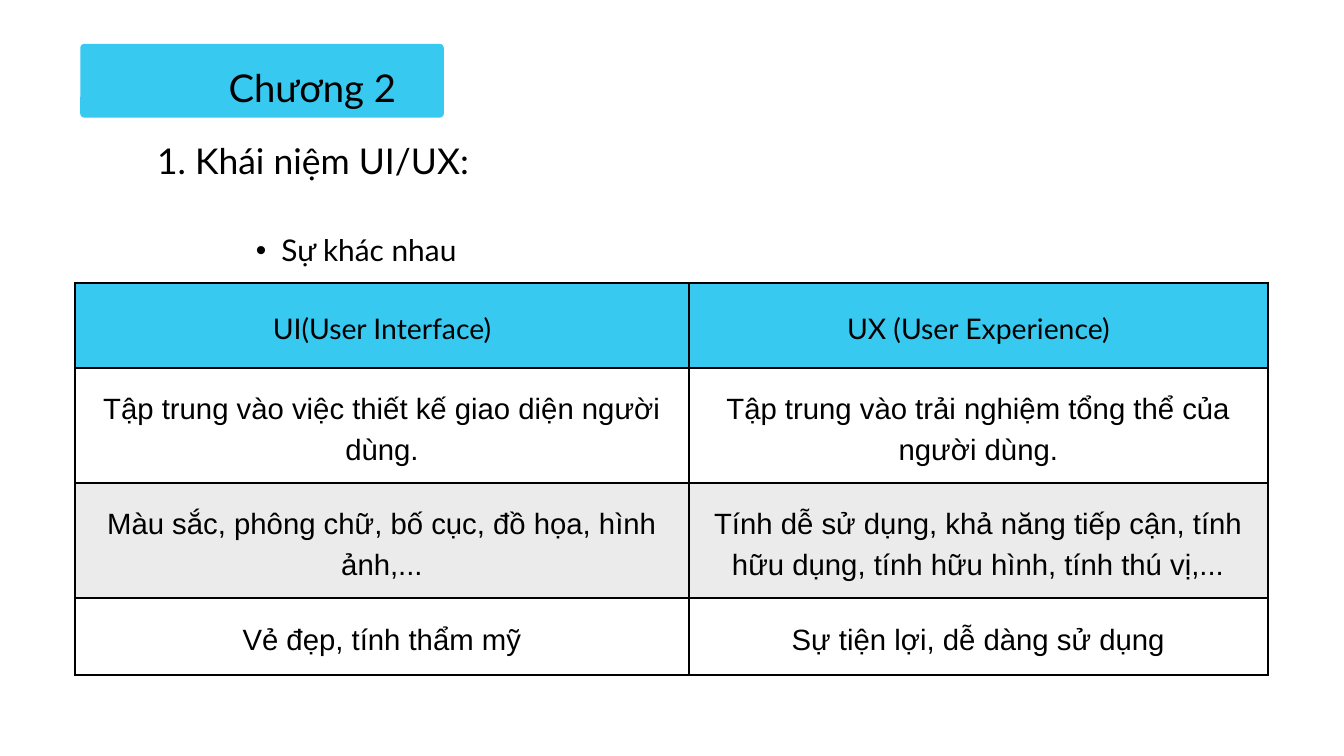
from pptx import Presentation
from pptx.dml.color import RGBColor
from pptx.enum import shapes, text
from pptx.oxml import parse_xml
from pptx.oxml.ns import nsdecls
from pptx.util import Pt

BLACK = RGBColor(0x00, 0x00, 0x00)
CYAN = RGBColor(0x37, 0xC9, 0xEF)
GREY = RGBColor(0xEB, 0xEB, 0xEB)

# Text, box (left, top, width, height), font size, line spacing
TITLE = ("Chương 2", (149, 60.5, 371.5, 61), 41, 57.4)
HEADING = ("1. Khái niệm UI/UX:", (149, 141, 373, 51), 38, 53.2)
BULLET = ("Sự khác nhau", (200, 242, 336, 45.5), 32, 44.8)

BANNER = (86, 47, 389.5, 79)
BANNER_RADIUS = 4.3

ROWS = [
    ("UI(User Interface)", "UX (User Experience)"),
    ("Tập trung vào việc thiết kế giao diện người dùng.",
     "Tập trung vào trải nghiệm tổng thể của người dùng."),
    ("Màu sắc, phông chữ, bố cục, đồ họa, hình ảnh,...",
     "Tính dễ sử dụng, khả năng tiếp cận, tính hữu dụng, tính hữu hình, tính thú vị,..."),
    ("Vẻ đẹp, tính thẩm mỹ", "Sự tiện lợi, dễ dàng sử dụng"),
]
ROW_FILLS = [CYAN, None, GREY, None]
ROW_HEIGHTS = [91.5, 123, 123, 82.8]
COL_WIDTHS = [657.4, 620.6]
TABLE_AT = (80.6, 303)
CELL_MARGIN = 15
BORDER = 3


def points(values):
    return [Pt(v) for v in values]


def set_margins(target, margin):
    target.margin_left = target.margin_right = Pt(margin)
    target.margin_top = target.margin_bottom = Pt(margin)


def write(p, words, font, size, spacing):
    p.alignment = text.PP_ALIGN.CENTER
    p.line_spacing = Pt(spacing)
    p.space_before = Pt(0)
    r = p.add_run()
    r.text = words
    r.font.name = font
    r.font.size = Pt(size)
    r.font.color.rgb = BLACK


def fill_box(sp, content):
    """Place a text shape, write its line and return the paragraph."""
    words, box, size, spacing = content
    sp.left, sp.top, sp.width, sp.height = points(box)
    tf = sp.text_frame
    tf.word_wrap = True
    tf.auto_size = text.MSO_AUTO_SIZE.NONE
    tf.vertical_anchor = text.MSO_ANCHOR.TOP
    set_margins(tf, 0)
    p = tf.paragraphs[0]
    write(p, words, "Lato", size, spacing)
    return p


def add_bullet(p, margin, hang):
    pPr = p._p.get_or_add_pPr()
    pPr.set("marL", str(Pt(margin)))
    pPr.set("indent", str(-Pt(hang)))
    pPr.append(parse_xml(f'<a:buFont {nsdecls("a")} typeface="Arial"/>'))
    pPr.append(parse_xml(f'<a:buChar {nsdecls("a")} char="•"/>'))


def add_borders(cell):
    tcPr = cell._tc.get_or_add_tcPr()
    for side in "LRTB":
        tcPr.append(parse_xml(
            f'<a:ln{side} {nsdecls("a")} w="{Pt(BORDER)}"><a:solidFill>'
            f'<a:srgbClr val="{BLACK}"/></a:solidFill></a:ln{side}>'))


def add_banner(s):
    sp = s.shapes.add_shape(shapes.MSO_SHAPE.ROUNDED_RECTANGLE, *points(BANNER))
    sp.adjustments[0] = BANNER_RADIUS / BANNER[3]
    sp.shadow.inherit = False
    sp.fill.solid()
    sp.fill.fore_color.rgb = CYAN
    sp.line.fill.background()
    s.shapes._spTree.insert(2, sp._element)  # behind the title


def add_comparison(s):
    size = (sum(COL_WIDTHS), sum(ROW_HEIGHTS))
    table = s.shapes.add_table(len(ROWS), len(COL_WIDTHS),
                               *points(TABLE_AT + size)).table
    table.first_row = table.horz_banding = False
    for col, width in zip(table.columns, COL_WIDTHS):
        col.width = Pt(width)
    for i, (row, height) in enumerate(zip(table.rows, ROW_HEIGHTS)):
        row.height = Pt(height)
        style = ("Lato", 30.4, 42.5) if i == 0 else ("Arial", 31.4, 44)
        for cell, words in zip(row.cells, ROWS[i]):
            set_margins(cell, CELL_MARGIN)
            cell.vertical_anchor = text.MSO_ANCHOR.MIDDLE
            write(cell.text_frame.paragraphs[0], words, *style)
            add_borders(cell)
            if ROW_FILLS[i] is None:
                cell.fill.background()
            else:
                cell.fill.solid()
                cell.fill.fore_color.rgb = ROW_FILLS[i]


def main():
    prs = Presentation()
    prs.slide_width, prs.slide_height = points((1440, 810))
    s = prs.slides.add_slide(prs.slide_layouts[1])
    add_banner(s)
    add_comparison(s)
    fill_box(s.shapes.title, TITLE)
    fill_box(s.shapes.add_textbox(*points(HEADING[1])), HEADING)
    p = fill_box(s.placeholders[1], BULLET)
    p.level = 1
    add_bullet(p, 54.7, 27.4)
    prs.save("out.pptx")


if __name__ == "__main__":
    main()
